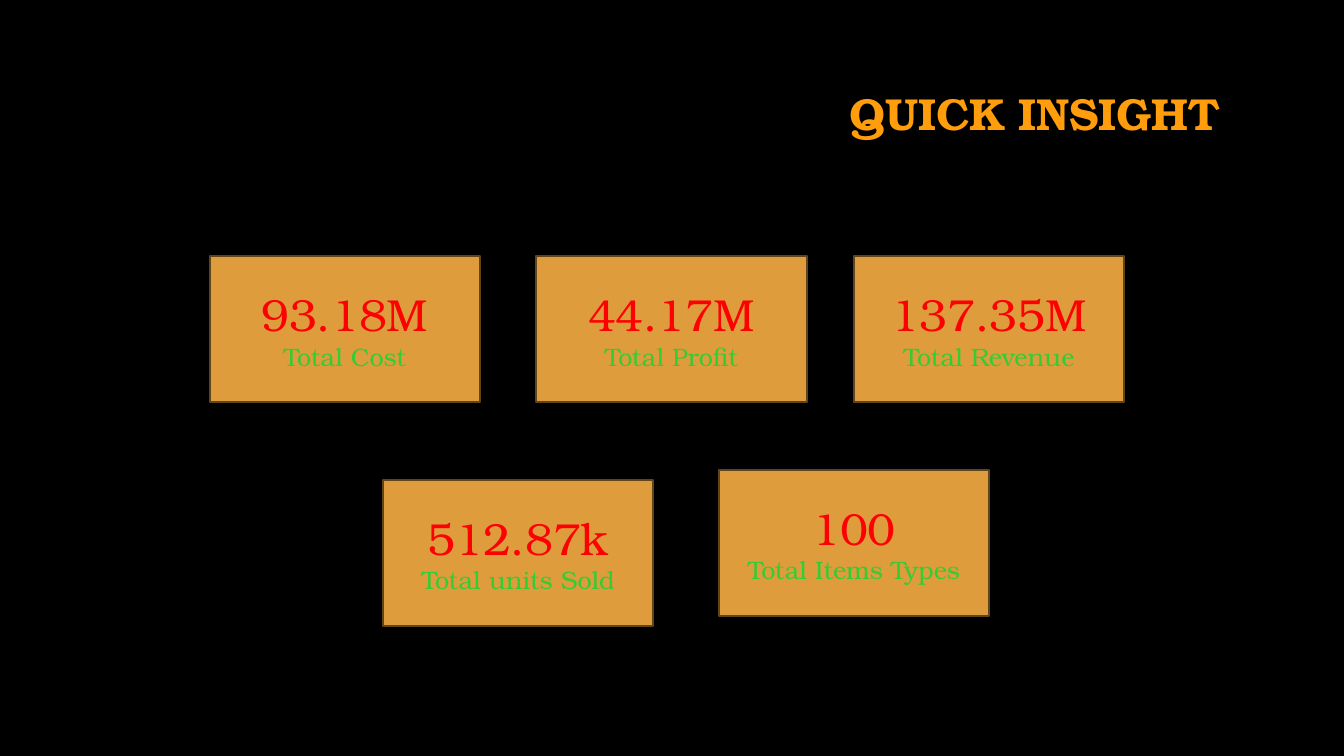
from pptx import Presentation
from pptx.dml.color import RGBColor
from pptx.enum.shapes import MSO_SHAPE
from pptx.enum.text import MSO_ANCHOR, PP_ALIGN
from pptx.util import Inches, Pt

RECT = MSO_SHAPE.RECTANGLE
TOP, MIDDLE = MSO_ANCHOR.TOP, MSO_ANCHOR.MIDDLE
CENTER, RIGHT = PP_ALIGN.CENTER, PP_ALIGN.RIGHT

SERIF, SANS = "TeX Gyre Bonum", "Lato"
TITLE = [("QUICK", SERIF, 32), (" ", SANS, 36), ("INSIGHT", SERIF, 32)]
CARDS = [
    (2.08, 2.54, "93.18M", "Total Cost"),
    (5.32, 2.54, "44.17M", "Total Profit"),
    (8.47, 2.54, "137.35M", "Total Revenue"),
    (3.8, 4.76, "512.87k", "Total units Sold"),
    (7.13, 4.66, "100", "Total Items Types"),
]
CARD_W, CARD_H = 2.68, 1.45


def color(code):
    return RGBColor.from_string(code)


def style(run, face, size, code, bold=False):
    font = run.font
    font.name, font.size, font.bold = face, Pt(size), bold
    font.color.rgb = color(code)


def add_title(slide):
    box = slide.shapes.add_textbox(
        Inches(1), Inches(0.67), Inches(11.32), Inches(1.45))
    frame = box.text_frame
    frame.word_wrap = True
    frame.vertical_anchor = TOP
    frame.margin_top, frame.margin_right = Inches(0.19), Inches(0.22)
    para = frame.paragraphs[0]
    para.alignment, para.line_spacing = RIGHT, 0.9
    for text, face, size in TITLE:
        run = para.add_run()
        run.text = text
        style(run, face, size, "FF9D0D", True)


def add_card(slide, left, top, value, label):
    card = slide.shapes.add_shape(
        RECT, Inches(left), Inches(top), Inches(CARD_W), Inches(CARD_H))
    card.shadow.inherit = False
    card.fill.solid()
    card.fill.fore_color.rgb = color("DE9C3C")
    card.line.color.rgb = color("61441A")
    card.line.width = Pt(1.5)
    frame = card.text_frame
    frame.word_wrap = True
    frame.vertical_anchor = MIDDLE
    frame.text = f"{value}\n{label}"
    looks = [(32, "FF0000"), (18, "33CC33")]
    for para, (size, code) in zip(frame.paragraphs, looks):
        para.alignment = CENTER
        style(para.runs[0], SERIF, size, code)


def main():
    deck = Presentation()
    deck.slide_width, deck.slide_height = Inches(13.33), Inches(7.5)
    slide = deck.slides.add_slide(deck.slide_layouts[6])
    slide.background.fill.solid()
    slide.background.fill.fore_color.rgb = color("000000")
    add_title(slide)
    for card in CARDS:
        add_card(slide, *card)
    deck.save("out.pptx")


if __name__ == "__main__":
    main()
